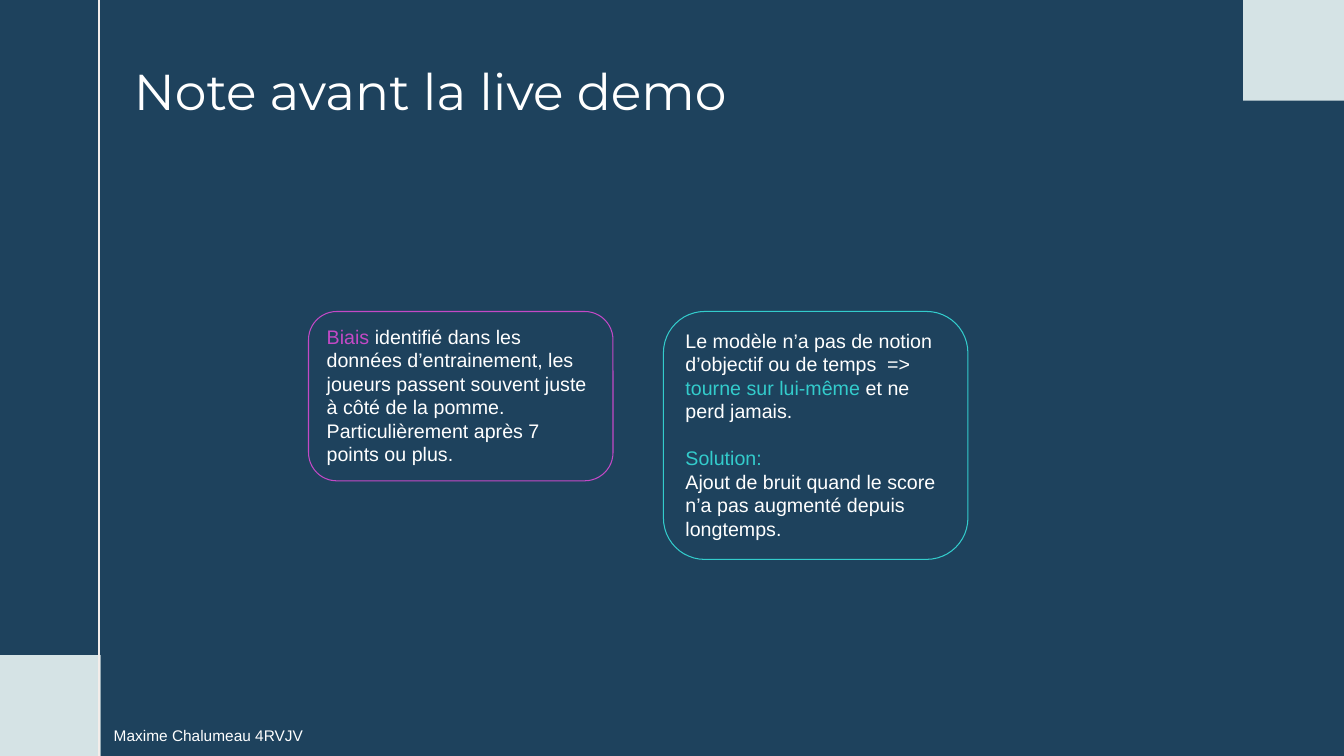
from pptx import Presentation
from pptx.dml.color import RGBColor
from pptx.enum import shapes, text
from pptx.oxml.ns import qn
from pptx.util import Inches, Pt

COLORS = {"navy": "1E425D", "mist": "D5E3E5", "rule": "F3EDEA",
          "white": "FFFFFF", "magenta": "C349C6", "teal": "33CCCC"}


def color(name):
    return RGBColor.from_string(COLORS[name])


def write(frame, paragraphs, size, font="Arial", **paragraph_format):
    """Fill a frame with paragraphs, each a list of (words, color name)."""
    frame.word_wrap = True
    for index, runs in enumerate(paragraphs):
        paragraph = frame.paragraphs[0] if index == 0 else frame.add_paragraph()
        paragraph.alignment = text.PP_ALIGN.LEFT
        for key, value in paragraph_format.items():
            setattr(paragraph, key, value)
        for words, tint in runs:
            run = paragraph.add_run()
            run.text = words
            run.font.name, run.font.size = font, Pt(size)
            run.font.color.rgb = color(tint)


deck = Presentation()
deck.slide_width, deck.slide_height = Inches(13.33), Inches(7.5)
slide = deck.slides.add_slide(deck.slide_layouts[6])
slide.background.fill.solid()
slide.background.fill.fore_color.rgb = color("navy")

# Corner squares and vertical rule
for left, top in [(0, 6.5), (12.33, 0)]:
    corner = slide.shapes.add_shape(shapes.MSO_SHAPE.RECTANGLE, Inches(left),
                                    Inches(top), Inches(1), Inches(1))
    corner.shadow.inherit = False
    corner.fill.solid()
    corner.fill.fore_color.rgb = color("mist")
    corner.line.fill.background()

rule = slide.shapes.add_connector(shapes.MSO_CONNECTOR.STRAIGHT, Inches(0.98),
                                  Inches(0), Inches(0.98), Inches(7.5))
rule.line.color.rgb = color("rule")
rule.line.width = Pt(1.5)
properties = rule._element.spPr
properties.append(properties.makeelement(qn("a:effectLst"), {}))

# Author and title
author = slide.shapes.add_textbox(Inches(1.03), Inches(7.15), Inches(2.6), Inches(0.29))
write(author.text_frame, [[("Maxime Chalumeau 4RVJV", "white")]], 11)

title = slide.shapes.add_textbox(Inches(1.23), Inches(0.55), Inches(8.45), Inches(0.77))
title.text_frame.vertical_anchor = text.MSO_ANCHOR.MIDDLE
write(title.text_frame, [[("Note avant la live demo", "white")]], 36,
      "Montserrat", line_spacing=0.9)

# Notes
bias = [[("Biais", "magenta"),
         (" identifié dans les données d’entrainement, les joueurs passent souvent "
          "juste à côté de la pomme. Particulièrement après 7 points ou plus.", "white")]]
remedy = [[("Le modèle n’a pas de notion d’objectif ou de temps  => ", "white"),
           ("tourne sur lui-même", "teal"), (" et ne perd jamais.", "white")],
          [("Solution:", "teal")],
          [("Ajout de bruit quand le score n’a pas augmenté depuis longtemps.", "white")]]

for left, height, outline, paragraphs in [(3.06, 1.68, "magenta", bias),
                                          (6.58, 2.46, "teal", remedy)]:
    note = slide.shapes.add_shape(shapes.MSO_SHAPE.ROUNDED_RECTANGLE, Inches(left),
                                  Inches(3.09), Inches(3.02), Inches(height))
    note.shadow.inherit = False
    note.fill.background()
    note.line.color.rgb = color(outline)
    note.line.width = Pt(0.75)
    note.text_frame.vertical_anchor = text.MSO_ANCHOR.TOP
    write(note.text_frame, paragraphs, 14)
    if paragraphs is remedy:
        note.text_frame.paragraphs[1].space_before = Pt(16.8)

deck.save("out.pptx")
